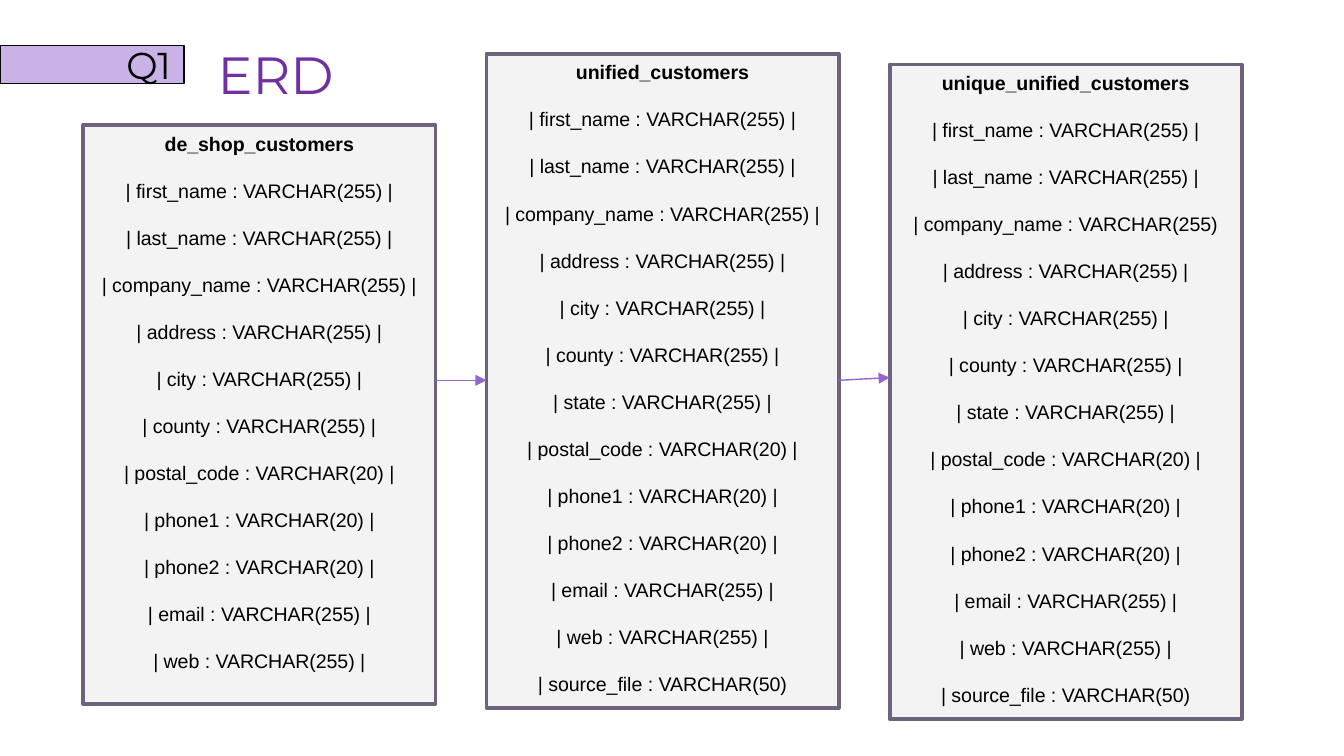
from dataclasses import dataclass

from lxml import etree
from pptx import Presentation
from pptx.dml.color import RGBColor
from pptx.enum.shapes import MSO_CONNECTOR, MSO_SHAPE
from pptx.enum.text import MSO_ANCHOR, PP_ALIGN
from pptx.oxml.ns import qn
from pptx.util import Inches, Pt

RECTANGLE = MSO_SHAPE.RECTANGLE
STRAIGHT = MSO_CONNECTOR.STRAIGHT
LEFT, CENTER, RIGHT = PP_ALIGN.LEFT, PP_ALIGN.CENTER, PP_ALIGN.RIGHT
TOP, MIDDLE, BOTTOM = MSO_ANCHOR.TOP, MSO_ANCHOR.MIDDLE, MSO_ANCHOR.BOTTOM
TITLE_ONLY = 5


@dataclass(frozen=True)
class Theme:
    heading_font: str = "Montserrat"
    body_font: str = "Arial"
    ink: str = "000000"
    title: str = "7030A0"
    tag_fill: str = "CAB1E6"
    entity_fill: str = "F3F3F3"
    entity_line: str = "6F627F"
    arrow: str = "9664CD"
    title_size: float = 28
    tag_size: float = 20
    body_size: float = 10.5
    row_gap: float = 12.6
    entity_border: float = 2
    thin_line: float = 0.75


class ErdSlide:
    def __init__(self, presentation, theme):
        self.theme = theme
        self.slide = presentation.slides.add_slide(presentation.slide_layouts[TITLE_ONLY])

    def style(self, paragraph, font, size, color, align, bold=False):
        paragraph.alignment = align
        paragraph.font.name = font
        paragraph.font.size = Pt(size)
        paragraph.font.bold = bold
        paragraph.font.color.rgb = RGBColor.from_string(color)

    def box(self, left, top, width, height, fill, line, weight):
        shape = self.slide.shapes.add_shape(
            RECTANGLE, Inches(left), Inches(top), Inches(width), Inches(height))
        shape.shadow.inherit = False
        shape.fill.solid()
        shape.fill.fore_color.rgb = RGBColor.from_string(fill)
        shape.line.color.rgb = RGBColor.from_string(line)
        shape.line.width = Pt(weight)
        return shape

    def title(self, text, left, top, width, height):
        heading = self.slide.shapes.title
        heading.left, heading.top = Inches(left), Inches(top)
        heading.width, heading.height = Inches(width), Inches(height)
        frame = heading.text_frame
        frame.text = text
        frame.vertical_anchor = BOTTOM
        frame.margin_bottom = Inches(0.05)
        self.style(frame.paragraphs[0], self.theme.heading_font,
                   self.theme.title_size, self.theme.title, LEFT)

    def tag(self, text, left, top, width, height):
        t = self.theme
        frame = self.box(left, top, width, height, t.tag_fill, t.ink, t.thin_line).text_frame
        frame.text = text
        frame.vertical_anchor = MIDDLE
        frame.margin_top = frame.margin_bottom = Inches(0.1)
        self.style(frame.paragraphs[0], t.heading_font, t.tag_size, t.ink, RIGHT)

    def entity(self, name, rows, left, top, width, height):
        t = self.theme
        frame = self.box(left, top, width, height, t.entity_fill,
                         t.entity_line, t.entity_border).text_frame
        frame.word_wrap = True
        frame.vertical_anchor = TOP
        frame.margin_top = Inches(0.05)
        frame.text = "\n".join([name, *rows])
        for index, paragraph in enumerate(frame.paragraphs):
            self.style(paragraph, t.body_font, t.body_size, t.ink, CENTER, bold=index == 0)
            paragraph.space_before = Pt(t.row_gap if index else 0)

    def arrow(self, x1, y1, x2, y2):
        flow = self.slide.shapes.add_connector(
            STRAIGHT, Inches(x1), Inches(y1), Inches(x2), Inches(y2))
        flow.line.color.rgb = RGBColor.from_string(self.theme.arrow)
        flow.line.width = Pt(self.theme.thin_line)
        etree.SubElement(flow.line._get_or_add_ln(), qn("a:tailEnd"), type="triangle")
        etree.SubElement(flow._element.spPr, qn("a:effectLst"))


def column_rows(columns, open_ended=()):
    """Format each column; those in open_ended have no closing bar."""
    return [f"| {column} : VARCHAR({size})" + ("" if column in open_ended else " |")
            for column, size in columns.items()]


def main():
    # Widescreen page, 16 by 9
    presentation = Presentation()
    presentation.slide_width = Inches(10)
    presentation.slide_height = Inches(10 * 9 / 16)
    erd = ErdSlide(presentation, Theme())

    # Heading and question tag
    erd.title("ERD", 1.52, -0.15, 1.64, 0.98)
    erd.tag("Q1", 0, 0.34, 1.37, 0.28)

    # Columns of the unified tables; the shop table lacks two of them
    unified = {"first_name": 255, "last_name": 255, "company_name": 255,
               "address": 255, "city": 255, "county": 255, "state": 255,
               "postal_code": 20, "phone1": 20, "phone2": 20,
               "email": 255, "web": 255, "source_file": 50}
    shop = {column: size for column, size in unified.items()
            if column not in ("state", "source_file")}

    # Entities, left to right
    first_left, pitch, width = 0.62, 3, 2.62
    entities = [
        ("de_shop_customers", column_rows(shop), 0.93, 4.31),
        ("unified_customers", column_rows(unified, ("source_file",)), 0.4, 4.87),
        ("unique_unified_customers",
         column_rows(unified, ("company_name", "source_file")), 0.48, 4.87),
    ]
    for index, (name, rows, top, height) in enumerate(entities):
        erd.entity(name, rows, first_left + index * pitch, top, width, height)

    # Data flow across the gaps
    for index, end_y in enumerate((2.83, 2.81)):
        right_edge = first_left + index * pitch + width
        erd.arrow(right_edge, 2.83, first_left + (index + 1) * pitch, end_y)

    presentation.save("out.pptx")


if __name__ == "__main__":
    main()
